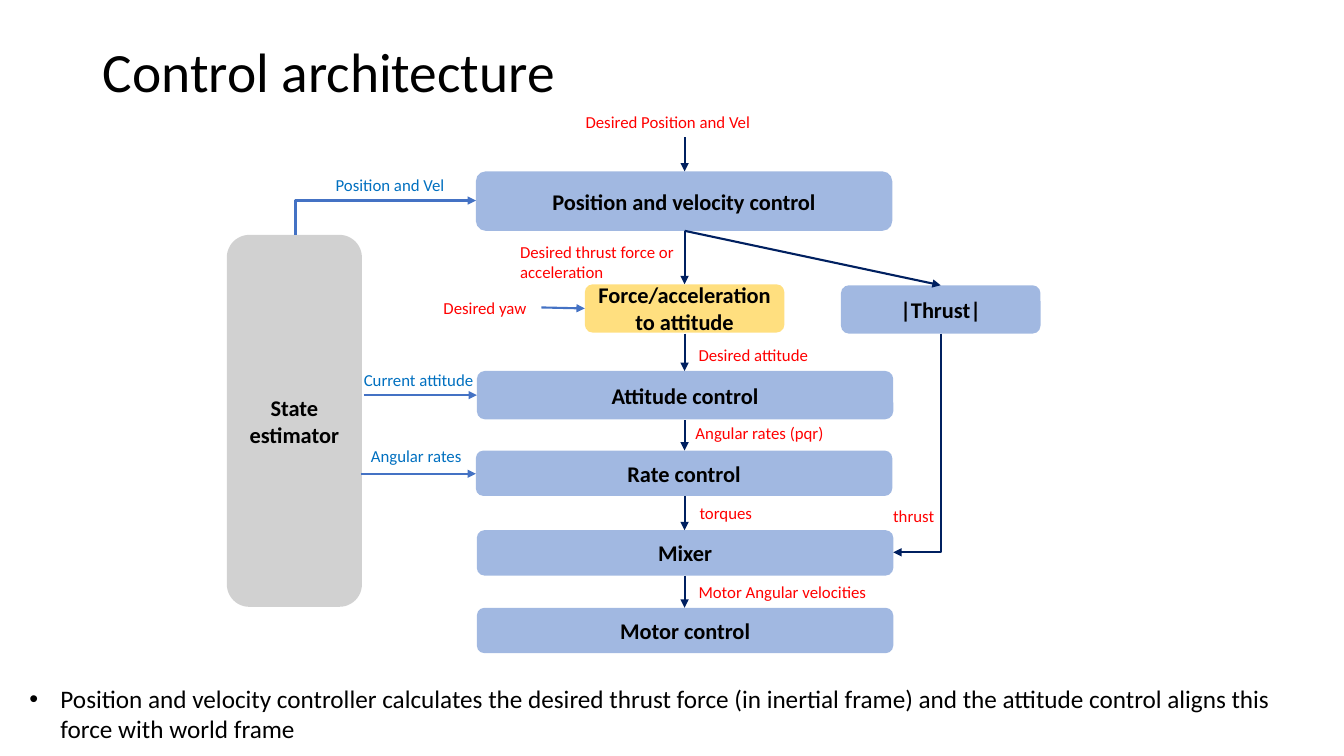
"""Build a slide with the control architecture of a flight controller."""
from lxml import etree
from pptx import Presentation
from pptx.dml.color import RGBColor
from pptx.enum.shapes import MSO_CONNECTOR, MSO_SHAPE
from pptx.enum.text import MSO_ANCHOR, MSO_AUTO_SIZE, PP_ALIGN
from pptx.oxml.ns import qn
from pptx.util import Pt

STRAIGHT = MSO_CONNECTOR.STRAIGHT
ROUNDED = MSO_SHAPE.ROUNDED_RECTANGLE
CENTER, LEFT = PP_ALIGN.CENTER, PP_ALIGN.LEFT
MIDDLE, TOP = MSO_ANCHOR.MIDDLE, MSO_ANCHOR.TOP
NO_AUTOFIT = MSO_AUTO_SIZE.NONE

EMU_PER_PX = 9144
FONT = "Calibri"
BLACK, RED, SIGNAL_BLUE = "000000", "FF0000", "0070C0"
BLUE, NAVY, GRAY, GOLD = "4472C4", "002060", "A5A5A5", "FFC000"
CENTER_X, THRUST_X = 679, 933

BOXES = [
    ("Position and velocity control", 472, 170, 413, 59, BLUE),
    ("Attitude control", 473, 368, 413, 48, BLUE),
    ("Rate control", 472, 447, 413, 45, BLUE),
    ("Mixer", 473, 526, 413, 45, BLUE),
    ("Motor control", 473, 603, 413, 45, BLUE),
    ("State estimator", 225, 233, 134, 369, GRAY),
    ("|Thrust|", 834, 283, 198, 48, BLUE),
    ("Force/acceleration to attitude", 580, 282, 198, 48, GOLD),
]
COMMAND_LABELS = [
    ("Desired Position and Vel", 571, 106, 216, 30),
    ("Desired thrust force or acceleration", 506, 235, 175, 50),
    ("Desired yaw", 430, 290, 108, 30),
    ("Desired attitude", 683, 337, 156, 30),
    ("Angular rates (pqr)", 680, 414, 204, 30),
    ("torques", 684, 494, 204, 30),
    ("Motor Angular velocities", 683, 572, 204, 30),
    ("thrust", 876, 497, 70, 30),
]
ESTIMATE_LABELS = [
    ("Position and Vel", 323, 168, 129, 30),
    ("Current attitude", 351, 362, 130, 30),
    ("Angular rates", 358, 437, 111, 30),
]
CHAIN_SPANS = [(136, 170), (229, 282), (331, 368), (417, 447),
               (492, 526), (571, 603)]
ESTIMATE_ARROWS = [(361, 392, 473, 392), (358, 470, 472, 470),
                   (537, 305, 580, 306)]


def px(*lengths):
    """Turn pixel lengths into a list of EMU."""
    return [round(length * EMU_PER_PX) for length in lengths]


def rgb(color):
    """Turn a hex string into a colour."""
    return RGBColor.from_string(color)


def place(shape, *bounds):
    """Move and size a shape by its pixel bounds."""
    shape.left, shape.top, shape.width, shape.height = px(*bounds)


def write(shape, text, size, color=BLACK, bold=False, align=LEFT, anchor=TOP):
    """Put one formatted paragraph into a shape and return it."""
    frame = shape.text_frame
    frame.text = text
    frame.word_wrap = True
    frame.auto_size = NO_AUTOFIT
    frame.vertical_anchor = anchor
    paragraph = frame.paragraphs[0]
    paragraph.alignment = align
    font = paragraph.runs[0].font
    font.name, font.size, font.bold = FONT, Pt(size), bold
    font.color.rgb = rgb(color)
    return paragraph


def add_box(slide, text, left, top, width, height, color):
    """Add a half-transparent rounded block."""
    shape = slide.shapes.add_shape(ROUNDED, *px(left, top, width, height))
    shape.shadow.inherit = False
    shape.line.fill.background()
    shape.fill.solid()
    shape.fill.fore_color.rgb = rgb(color)
    fill_color = shape._element.spPr.find(qn("a:solidFill"))[0]
    etree.SubElement(fill_color, qn("a:alpha")).set("val", "50000")
    write(shape, text, 16, bold=True, align=CENTER, anchor=MIDDLE)


def add_label(slide, text, left, top, width, height, color, wrap):
    """Add the small caption of a signal."""
    shape = slide.shapes.add_textbox(*px(left, top, width, height))
    write(shape, text, 12, color)
    shape.text_frame.word_wrap = wrap


def add_arrow(slide, start_x, start_y, end_x, end_y, color):
    """Add a straight arrow and return it."""
    arrow = slide.shapes.add_connector(
        STRAIGHT, *px(start_x, start_y, end_x, end_y))
    arrow.line.width = Pt(1.5)
    arrow.line.color.rgb = rgb(color)
    line = arrow.line._get_or_add_ln()
    etree.SubElement(line, qn("a:tailEnd")).set("type", "triangle")
    etree.SubElement(arrow._element.spPr, qn("a:effectLst"))
    return arrow


def add_elbow_arrow(slide, start_x, start_y, end_x, end_y, color):
    """Add an arrow that runs vertically, then horizontally."""
    middle_x, middle_y = (start_x + end_x) / 2, (start_y + end_y) / 2
    half_run, half_rise = (end_y - start_y) / 2, (start_x - end_x) / 2
    arrow = add_arrow(slide, middle_x - half_run, middle_y - half_rise,
                      middle_x + half_run, middle_y + half_rise, color)
    properties = arrow._element.spPr
    properties.find(qn("a:xfrm")).set("rot", "5400000")
    properties.find(qn("a:prstGeom")).set("prst", "bentConnector2")


def fill_placeholders(slide):
    """Write the title and the bullet below the diagram."""
    title, body = slide.shapes.title, slide.placeholders[1]
    place(title, 92, 40, 1124, 67)
    write(title, "Control architecture", 39.6, anchor=MIDDLE).line_spacing = 0.9
    place(body, 19, 673, 1289, 71)
    bullet = write(
        body,
        "Position and velocity controller calculates the desired thrust force "
        "(in inertial frame) and the attitude control aligns this force with "
        "world frame", 18)
    bullet.space_before = Pt(0)
    indent = px(31)[0]
    properties = bullet._p.get_or_add_pPr()
    properties.set("marL", str(indent))
    properties.set("indent", str(-indent))


def main():
    """Build and save the slide."""
    presentation = Presentation()
    presentation.slide_width, presentation.slide_height = px(1333, 750)
    slide = presentation.slides.add_slide(presentation.slide_layouts[1])
    fill_placeholders(slide)
    for box in BOXES:
        add_box(slide, *box)
    for label in COMMAND_LABELS:
        add_label(slide, *label, RED, True)
    for label in ESTIMATE_LABELS:
        add_label(slide, *label, SIGNAL_BLUE, False)
    for top, bottom in CHAIN_SPANS:
        add_arrow(slide, CENTER_X, top, CENTER_X, bottom, NAVY)
    add_arrow(slide, CENTER_X, 229, THRUST_X, 283, NAVY)
    for arrow in ESTIMATE_ARROWS:
        add_arrow(slide, *arrow, BLUE)
    add_elbow_arrow(slide, 293, 233, 472, 199, BLUE)
    add_elbow_arrow(slide, THRUST_X, 331, 886, 548, NAVY)
    presentation.save("out.pptx")


if __name__ == "__main__":
    main()
